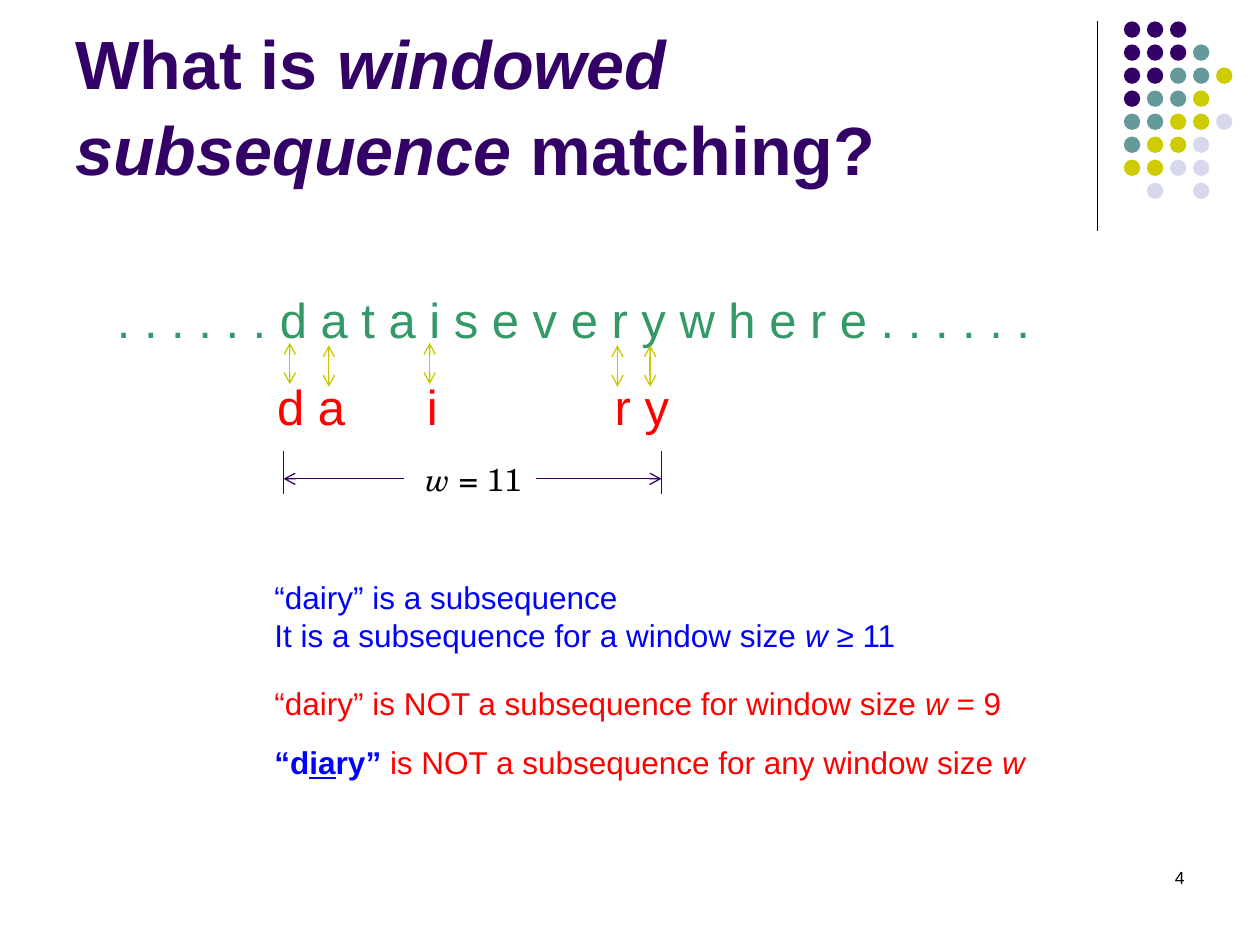
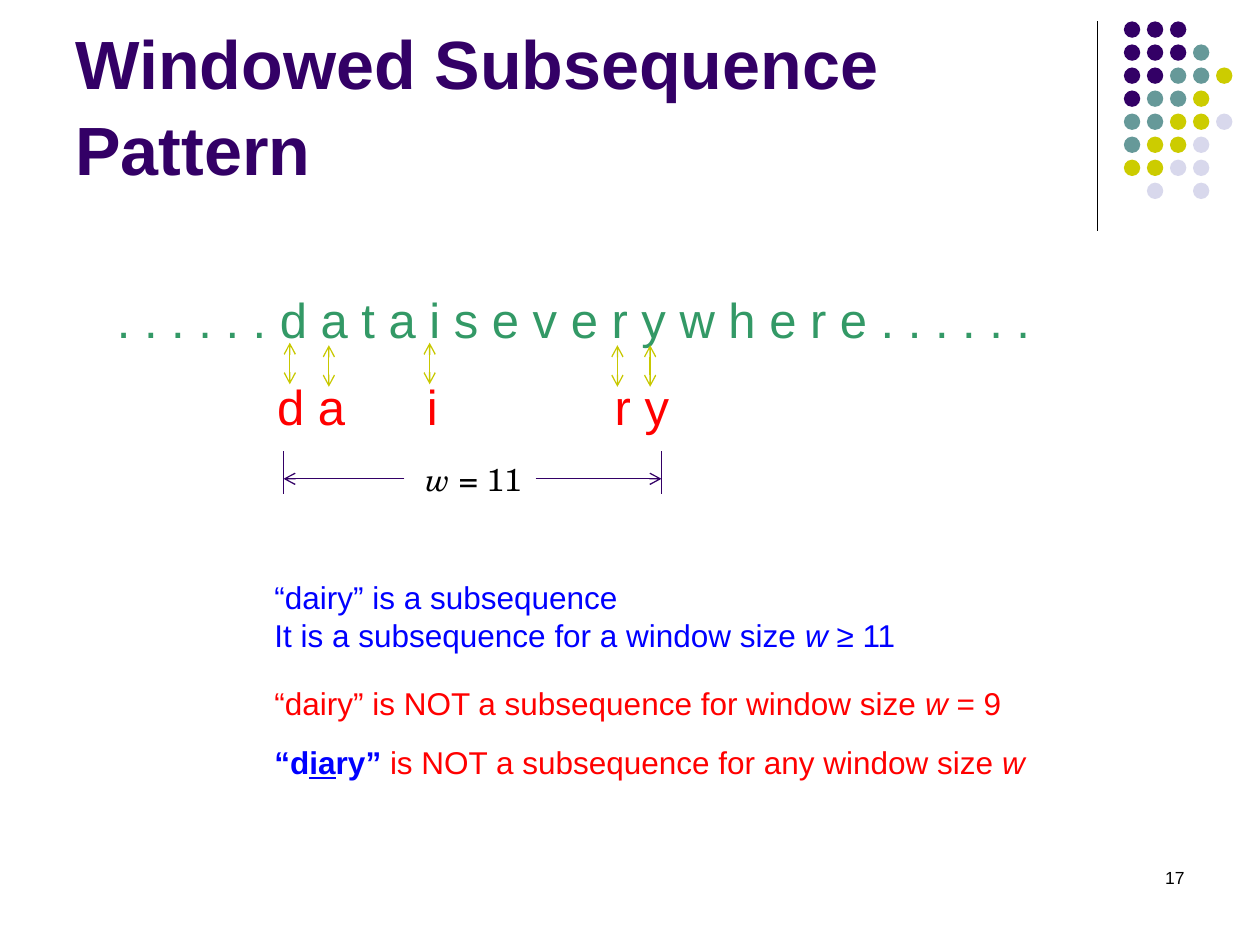
from pptx import Presentation, util as u
from pptx.dml import color
from pptx.enum import shapes, text
from pptx.oxml import xmlchemy as x, ns

PURPLE = color.RGBColor(0x33, 0x00, 0x66)
TEAL = color.RGBColor(0x66, 0x99, 0x99)
OLIVE = color.RGBColor(0xCC, 0xCC, 0x00)
LILAC = color.RGBColor(0xD8, 0xD8, 0xEC)
YELLOW = color.RGBColor(0xC8, 0xC8, 0x00)
GREEN = color.RGBColor(0x33, 0x99, 0x66)
RED = color.RGBColor(0xFF, 0x00, 0x00)
BLUE = color.RGBColor(0x00, 0x00, 0xFF)
BLACK = color.RGBColor(0x00, 0x00, 0x00)

DOT_COLOURS = {"P": PURPLE, "T": TEAL, "O": OLIVE, "L": LILAC}
DOT_ROWS = ["PPP", "PPPT", "PPTTO", "PTTO", "TTOOL", "TOOL", "OOLL", ".L.L"]
DOT_PITCH = 1.28 / 7
MATCH_ARROWS = [(2.3, 2.72), (2.61, 2.74), (3.41, 2.72), (4.9, 2.74), (5.16, 2.74)]
LETTER_TABS = [1.19, 2.68]

SLIDES = [
    ([("What is ", PURPLE, "b"), ("windowed subsequence", PURPLE, "bi"),
      (" matching?", PURPLE, "b")], "4"),
    ([("Windowed Subsequence Pattern", PURPLE, "b")], "17"),
]
STATEMENTS = [
    (4.54, 5.92, 0.71, [
        [("“dairy” is a subsequence", BLUE, "")],
        [("It is a subsequence for a window size ", BLUE, ""),
         ("w", BLUE, "i"), (" ≥ 11", BLUE, "")]]),
    (5.38, 6.25, 0.4, [
        [("“dairy” is NOT a subsequence for window size ", RED, ""),
         ("w", RED, "i"), (" = 9", RED, "")]]),
    (5.85, 6.25, 0.4, [
        [("“d", BLUE, "b"), ("ia", BLUE, "bu"), ("ry” ", BLUE, "b"),
         ("is NOT a subsequence for any window size ", RED, ""), ("w", RED, "i")]]),
]


def add_text(s, left, top, width, height, size, paragraphs, font="Arial"):
    box = s.shapes.add_textbox(*map(u.Inches, (left, top, width, height)))
    tf = box.text_frame
    tf.word_wrap = True
    for i, runs in enumerate(paragraphs):
        p = tf.add_paragraph() if i else tf.paragraphs[0]
        for words, colour, style in runs:
            r = p.add_run()
            r.text = words
            r.font.name = font
            r.font.size = u.Pt(size)
            r.font.color.rgb = colour
            r.font.bold = "b" in style
            r.font.italic = "i" in style
            r.font.underline = "u" in style
    return tf


def add_line(s, x1, y1, x2, y2, colour, arrows=()):
    line = s.shapes.add_connector(shapes.MSO_CONNECTOR.STRAIGHT,
                                  *map(u.Inches, (x1, y1, x2, y2)))
    line.line.color.rgb = colour
    line.line.width = u.Pt(0.75)
    sp_pr = line._element.spPr
    for end in arrows:
        tip = x.OxmlElement(f"a:{end}")
        tip.set("type", "arrow")
        sp_pr.find(ns.qn("a:ln")).append(tip)
    sp_pr.append(x.OxmlElement("a:effectLst"))


prs = Presentation()
prs.slide_width = u.Inches(10)
prs.slide_height = u.Inches(7.5)

for title, number in SLIDES:
    s = prs.slides.add_slide(prs.slide_layouts[6])

    add_line(s, 8.71, 0.17, 8.71, 1.83, BLACK)
    for row, letters in enumerate(DOT_ROWS):
        for col, letter in enumerate(letters):
            if letter in DOT_COLOURS:
                sp = s.shapes.add_shape(
                    shapes.MSO_SHAPE.OVAL,
                    u.Inches(8.92 + col * DOT_PITCH), u.Inches(0.17 + row * DOT_PITCH),
                    u.Inches(0.13), u.Inches(0.13))
                sp.shadow.inherit = False
                sp.fill.solid()
                sp.fill.fore_color.rgb = DOT_COLOURS[letter]
                sp.line.fill.background()

    tf = add_text(s, 0.5, 0.13, 8.25, 1.42, 39, [title])
    tf.vertical_anchor = text.MSO_ANCHOR.BOTTOM
    tf.paragraphs[0].line_spacing = 1.05
    tf = add_text(s, 7.17, 6.83, 2.33, 0.5, 10, [[(number, BLACK, "")]])
    tf.paragraphs[0].alignment = text.PP_ALIGN.RIGHT

    add_text(s, 0.83, 2.25, 7.67, 0.57, 28,
             [[(". . . . . . d a t a i s e v e r y w h e r e . . . . . .", GREEN, "")]])
    tf = add_text(s, 2.1, 2.94, 3.55, 0.57, 28, [[("d a\ti\tr y", RED, "")]])
    tabs = x.OxmlElement("a:tabLst")
    for pos in LETTER_TABS:
        tab = x.OxmlElement("a:tab")
        tab.set("pos", str(u.Inches(pos)))
        tab.set("algn", "l")
        tabs.append(tab)
    tf.paragraphs[0]._p.get_or_add_pPr().append(tabs)
    for left, top in MATCH_ARROWS:
        add_line(s, left, top, left, top + 0.33, YELLOW, ("headEnd", "tailEnd"))

    for top, width, height, paragraphs in STATEMENTS:
        add_text(s, 2.08, top, width, height, 18, paragraphs)

    add_text(s, 3.21, 3.6, 1.04, 0.4, 18,
             [[(" w ", BLACK, "i"), ("= 11", BLACK, "")]], "TeX Gyre Schola")
    for edge, inner in [(2.25, 3.21), (5.25, 4.25)]:
        add_line(s, edge, 3.58, edge, 3.92, PURPLE)
        add_line(s, inner, 3.8, edge, 3.8, PURPLE, ("tailEnd",))

prs.save("out.pptx")
